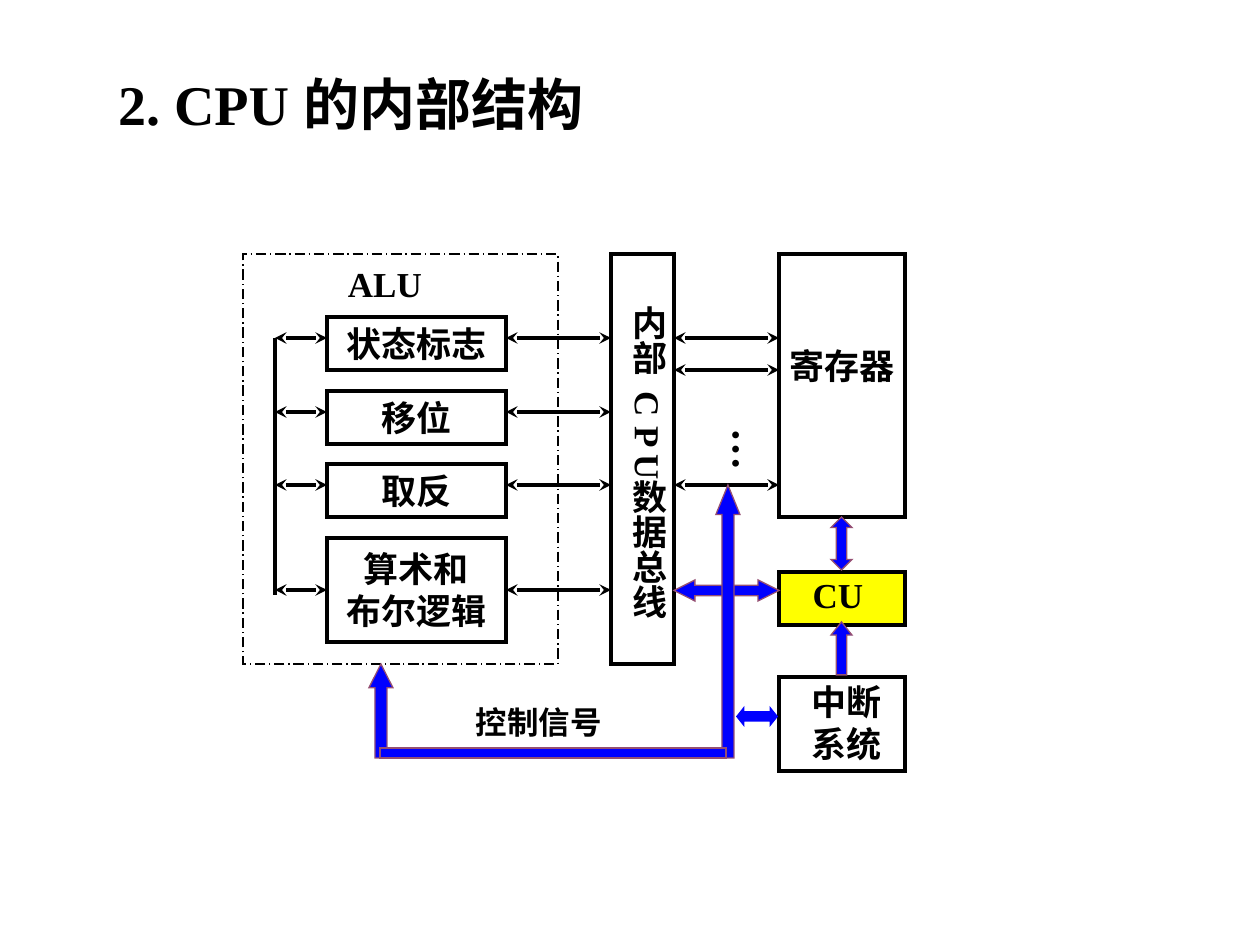
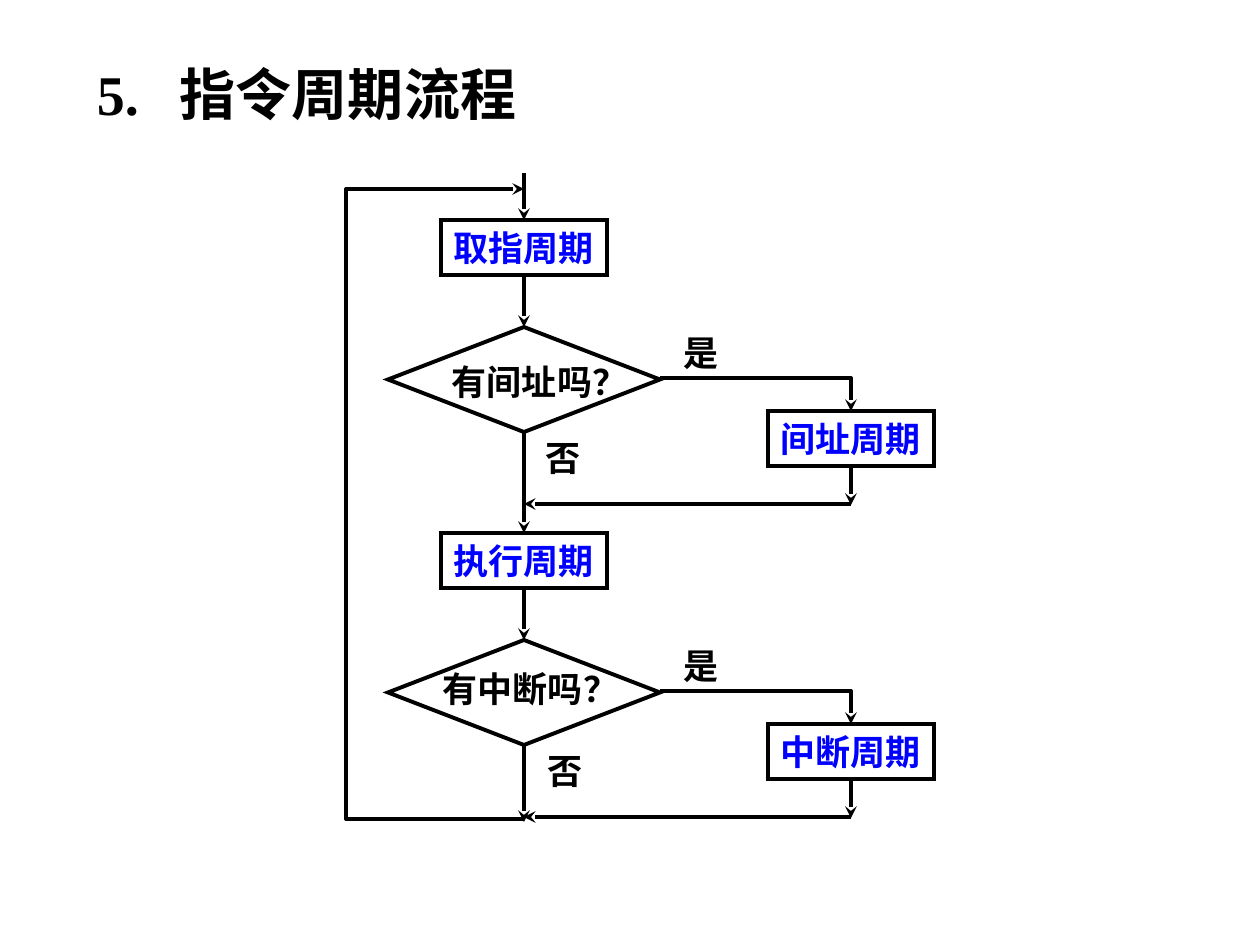
from lxml import etree
from pptx import Presentation
from pptx.dml.color import RGBColor
from pptx.enum.dml import MSO_LINE
from pptx.enum.shapes import MSO_CONNECTOR, MSO_SHAPE as SH
from pptx.enum.text import MSO_ANCHOR as ANCHOR, PP_ALIGN as ALIGN
from pptx.oxml.ns import qn
from pptx.util import Inches, Pt

PX = 7257
FONT = "Times New Roman"
BLACK, BLUE, YELLOW, PLUM = "000000", "0000FF", "FFFF00", "954F72"
PAD = (13, 6, 13, 6)
hex_color = RGBColor.from_string


def add_box(s, kind, at, text="", fill=None, line=BLACK, width=2.25, size=20,
            color=BLACK, pad=PAD, align=ALIGN.CENTER, vertical=False, tab=None):
    x, y, w, h = [v * PX for v in at]
    if kind is None:
        sp = s.shapes.add_textbox(x, y, w, h)
    else:
        sp = s.shapes.add_shape(kind, x, y, w, h)
        sp.shadow.inherit = False
        if fill:
            sp.fill.solid()
            sp.fill.fore_color.rgb = hex_color(fill)
        else:
            sp.fill.background()
        if line:
            sp.line.color.rgb = hex_color(line)
            sp.line.width = Pt(width)
            etree.SubElement(sp._element.spPr.find(qn("a:ln")), qn("a:miter"), lim="800000")
        else:
            sp.line.fill.background()
    if not text:
        return sp
    tf = sp.text_frame
    tf.margin_left, tf.margin_top, tf.margin_right, tf.margin_bottom = [v * PX for v in pad]
    tf.word_wrap = align == ALIGN.LEFT
    tf.vertical_anchor = ANCHOR.TOP if vertical else ANCHOR.MIDDLE
    if vertical:
        tf._txBody.bodyPr.set("vert", "eaVert")
    tf.text = text
    for p in tf.paragraphs:
        p.alignment = align
        if tab:
            tabs = etree.SubElement(p._p.get_or_add_pPr(), qn("a:tabLst"))
            etree.SubElement(tabs, qn("a:tab"), pos=str(tab * PX), algn="l")
        p.font.name = FONT
        p.font.size = Pt(size)
        p.font.bold = True
        p.font.color.rgb = hex_color(color)
    return sp


def add_path(s, points, begin=None, end=None, ends=("tailEnd",)):
    if len(points) == 2:
        (x1, y1), (x2, y2) = points
        sp = s.shapes.add_connector(MSO_CONNECTOR.STRAIGHT, x1 * PX, y1 * PX, x2 * PX, y2 * PX)
        if begin:
            sp.begin_connect(*begin)
        if end:
            sp.end_connect(*end)
    else:
        builder = s.shapes.build_freeform(*points[0], scale=PX)
        builder.add_line_segments(points[1:], close=False)
        sp = builder.convert_to_shape()
        sp.fill.background()
    sp.line.color.rgb = hex_color(BLACK)
    sp.line.width = Pt(2.25)
    props = sp._element.spPr
    for name in ends:
        etree.SubElement(props.find(qn("a:ln")), qn("a:" + name), type="stealth")
    etree.SubElement(props, qn("a:effectLst"))


prs = Presentation()
prs.slide_width, prs.slide_height = Inches(10), Inches(7.5)
blank = prs.slide_layouts[6]
title = dict(size=32, align=ALIGN.LEFT)
both = ("headEnd", "tailEnd")

s = prs.slides.add_slide(blank)
add_box(s, None, (105, 63, 640, 81), "2. CPU 的内部结构", **title)

add_box(s, SH.RECTANGLE, (779, 572, 126, 53), "CU", fill=YELLOW, pad=(9, 2, 17, 10))
add_box(s, SH.RECTANGLE, (779, 254, 126, 263), "寄存器", pad=(6, 6, 6, 46))
add_box(s, SH.RECTANGLE, (779, 677, 126, 94), "中断\n系统", pad=(18, 4, 8, 8))
add_box(s, SH.RECTANGLE, (611, 254, 63, 410))
for word, top, height in (("内部", 293, 97), ("C P U", 379, 117), ("数据总线", 467, 180)):
    add_box(s, None, (609, top, 67, height), word, pad=(6, 13, 6, 13),
            align=ALIGN.LEFT, vertical=True)

units = [("状态标志", 317, 53, 338), ("移位", 391, 53, 412),
         ("取反", 464, 53, 485), ("算术和\n布尔逻辑", 538, 104, 590)]
for name, top, height, y in units:
    unit = add_box(s, SH.RECTANGLE, (327, top, 179, height), name)
    centred = y == top + height // 2
    add_path(s, [(275, y), (327, y)], end=(unit, 1) if centred else None, ends=both)
    add_path(s, [(506, y), (611, y)], begin=(unit, 3) if centred else None, ends=both)
for y in (338, 370, 485):
    add_path(s, [(674, y), (779, y)], ends=both)
add_path(s, [(275, 338), (275, 595)], ends=())

frame = add_box(s, SH.RECTANGLE, (243, 254, 315, 410), width=0.75)
frame.line.dash_style = MSO_LINE.LONG_DASH_DOT
add_box(s, None, (335, 256, 100, 55), "ALU")

arrows = [(SH.LEFT_RIGHT_ARROW, (674, 580, 105, 21), 0.996, PLUM),
          (SH.UP_ARROW, (831, 622, 21, 53), 0.626, PLUM),
          (SH.UP_ARROW, (716, 485, 24, 273), 1.228, PLUM),
          (SH.UP_ARROW, (369, 664, 24, 94), 0.99, PLUM),
          (SH.LEFT_RIGHT_ARROW, (736, 706, 42, 21), 0.399, None),
          (SH.UP_DOWN_ARROW, (831, 517, 21, 53), 0.498, PLUM)]
for kind, at, head, outline in arrows:
    sp = add_box(s, kind, at, fill=BLUE, line=outline, width=0.75)
    sp.adjustments[0] = 0.5
    sp.adjustments[1] = head
add_box(s, SH.RECTANGLE, (380, 748, 346, 10), fill=BLUE, line=PLUM, width=0.75)
add_box(s, None, (439, 697, 200, 50), "控制信号", size=18)
add_box(s, None, (706, 415, 75, 94), "…", size=24, pad=(6, 13, 6, 13),
        align=ALIGN.LEFT, vertical=True)

s = prs.slides.add_slide(blank)
add_box(s, None, (84, 53, 788, 81), "5.\t指令周期流程", tab=83, **title)

MID, SIDE, STEP = 524, 851, 313
stages = [("取指周期", "有间址吗？", (422, 354), "间址周期", 533),
          ("执行周期", "有中断吗？", (413, 661), "中断周期", 535)]
previous = None
for i, (cycle, question, (qx, qy), branch, no_x) in enumerate(stages):
    dy = i * STEP
    main = add_box(s, SH.RECTANGLE, (441, 220 + dy, 166, 55), cycle, color=BLUE)
    test = add_box(s, SH.DIAMOND, (388, 327 + dy, 272, 105))
    add_box(s, None, (qx, qy, 200, 55), question)
    side = add_box(s, SH.RECTANGLE, (768, 411 + dy, 166, 55), branch, color=BLUE)
    add_box(s, None, (671, 325 + dy, 60, 55), "是")
    add_box(s, None, (no_x, 430 + dy, 60, 55), "否")
    start = (MID, 119 + dy) if previous else (MID, 173)
    add_path(s, [start, (MID, 220 + dy)], begin=previous, end=(main, 0))
    add_path(s, [(MID, 275 + dy), (MID, 327 + dy)], begin=(main, 2), end=(test, 0))
    add_path(s, [(660, 378 + dy), (SIDE, 378 + dy), (SIDE, 411 + dy)])
    add_path(s, [(SIDE, 466 + dy), (SIDE, 505 + dy)], begin=(side, 2))
    add_path(s, [(SIDE, 504 + dy), (MID, 504 + dy)])
    previous = (test, 2)
add_path(s, [(MID, 745), (MID, 822)], begin=previous)
add_path(s, [(MID, 819), (346, 819), (346, 189), (MID, 189)])

prs.save("out.pptx")
